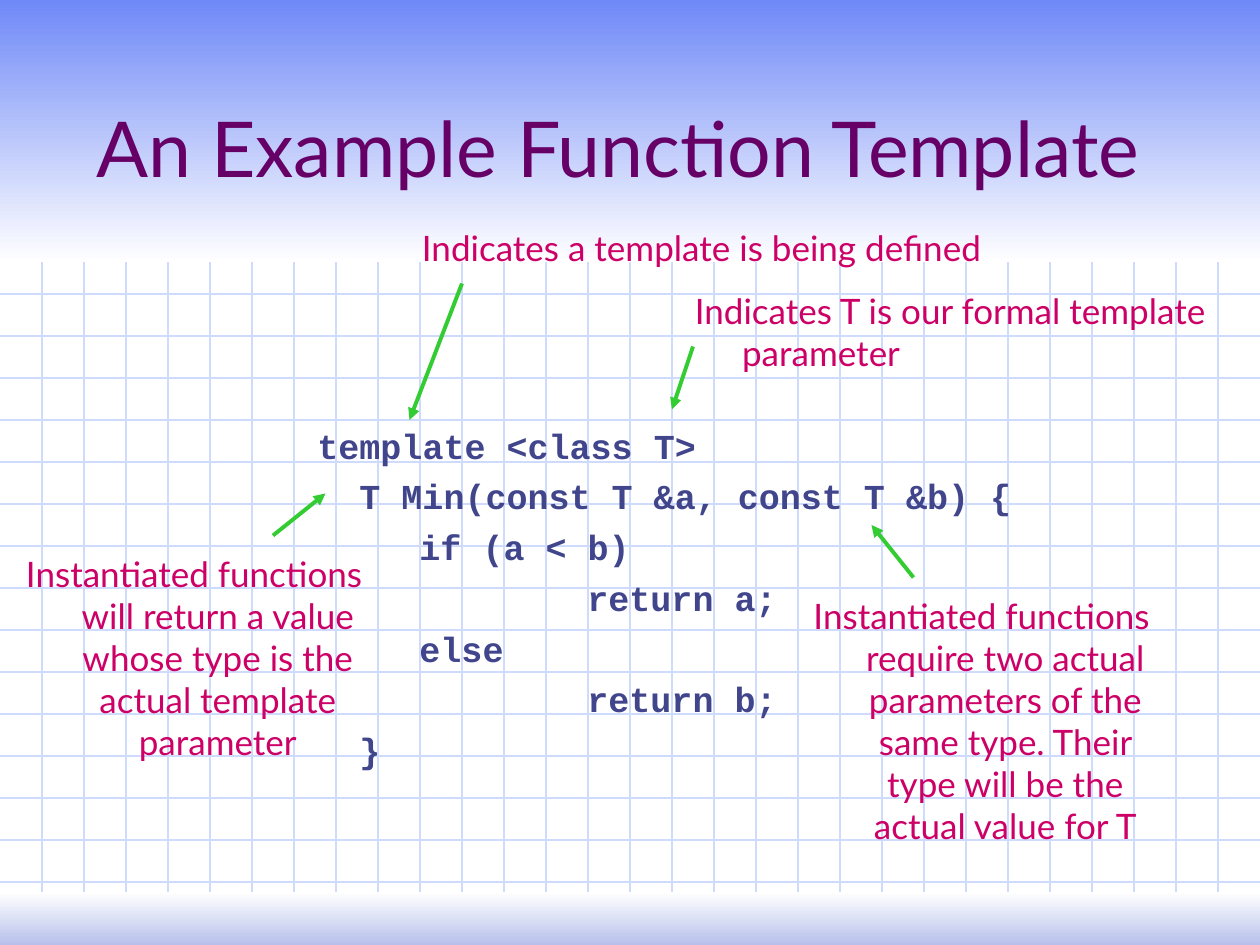
from lxml import etree
from pptx import Presentation
from pptx.dml.color import RGBColor
from pptx.enum.shapes import MSO_CONNECTOR, MSO_SHAPE
from pptx.enum.text import MSO_ANCHOR, MSO_AUTO_SIZE, PP_ALIGN
from pptx.oxml.ns import qn
from pptx.util import Pt

LEFT, CENTER = PP_ALIGN.LEFT, PP_ALIGN.CENTER
TOP, BOTTOM = MSO_ANCHOR.TOP, MSO_ANCHOR.BOTTOM
NO_AUTOSIZE = MSO_AUTO_SIZE.NONE
STRAIGHT = MSO_CONNECTOR.STRAIGHT
RECTANGLE = MSO_SHAPE.RECTANGLE

PAGE_WIDTH, PAGE_HEIGHT = 720, 540
GRID_STEP = 24
COLORS = {
    "grid": "CFDBFD",
    "sky": "6F89F7",
    "mist": "B7C1EB",
    "white": "FFFFFF",
    "title": "660066",
    "code": "40458C",
    "note": "CC0066",
    "arrow": "33CC33",
}
CODE = [
    (0, "template <class T>"),
    (24, "T Min(const T &a, const T &b) {"),
    (58.3, "if (a < b)"),
    (154.3, "return a;"),
    (58.3, "else"),
    (154.3, "return b;"),
    (24, "}"),
]
CODE_LEFT = 108.2
NOTES = [
    ("Indicates a template is being defined", (234, 126, 378, 31.5), LEFT),
    ("Indicates T is our formal template parameter", (390, 162, 330, 55.5), LEFT),
    ("Instantiated functions will return a value whose type is the "
     "actual template parameter", (0, 312, 222, 127.5), CENTER),
    ("Instantiated functions require two actual parameters of the same type. "
     "Their type will be the actual value for T", (450, 336, 222, 151.5), CENTER),
]
ARROWS = [
    ((264, 162), (234, 240)),
    ((396, 198), (384, 234)),
    ((156, 306), (186, 282)),
    ((522, 330), (498, 300)),
]


def color(name):
    return RGBColor.from_string(COLORS[name])


def place(shape, left, top, width, height):
    shape.left, shape.top = Pt(left), Pt(top)
    shape.width, shape.height = Pt(width), Pt(height)


def write(para, text, *, font="Lato", size=20, fill="note", bold=False,
          align=LEFT, margin=0, hanging=0, before=0, line=None):
    properties = para._p.get_or_add_pPr()
    properties.set("marL", str(Pt(margin)))
    properties.set("indent", str(-Pt(hanging)))
    etree.SubElement(properties, qn("a:buNone"))
    para.alignment = align
    para.space_before = Pt(before)
    if line:
        para.line_spacing = Pt(line)
    span = para.add_run()
    span.text = text
    span.font.name = font
    span.font.size = Pt(size)
    span.font.bold = bold
    span.font.color.rgb = color(fill)


def add_line(page, start, end, stroke, width, arrow=False):
    line = page.shapes.add_connector(STRAIGHT, *(Pt(value) for value in start + end))
    line.line.color.rgb = color(stroke)
    line.line.width = Pt(width)
    if arrow:
        etree.SubElement(line.line._get_or_add_ln(), qn("a:tailEnd"), type="triangle")
    etree.SubElement(line.element.spPr, qn("a:effectLst"))


def add_band(page, top, height, first, last):
    band = page.shapes.add_shape(RECTANGLE, 0, Pt(top), Pt(PAGE_WIDTH), Pt(height))
    band.shadow.inherit = False
    band.line.fill.background()
    band.fill.gradient()
    band.fill.gradient_angle = 270
    for stop, name, position in zip(band.fill.gradient_stops, (first, last), (0, 1)):
        stop.color.rgb = color(name)
        stop.position = position


def add_backdrop(page):
    for y in range(GRID_STEP, PAGE_HEIGHT, GRID_STEP):
        add_line(page, (0, y), (PAGE_WIDTH, y), "grid", 0.75)
    for x in range(GRID_STEP, PAGE_WIDTH, GRID_STEP):
        add_line(page, (x, 0), (x, PAGE_HEIGHT), "grid", 0.75)
    add_band(page, 0, 150, "sky", "white")
    add_band(page, 510, 30, "white", "mist")


def prepare_placeholder(shape, area, anchor):
    shape.element.getparent().append(shape.element)
    place(shape, *area)
    frame = shape.text_frame
    frame.auto_size = NO_AUTOSIZE
    frame.vertical_anchor = anchor
    return frame


def add_title(page, text):
    frame = prepare_placeholder(page.shapes.title, (48, 24, 624, 90), BOTTOM)
    write(frame.paragraphs[0], text, size=44, fill="title")


def add_code(page):
    frame = prepare_placeholder(page.placeholders[1], (66, 150, 612, 324), TOP)
    frame.margin_top = Pt(92.3)
    for index, (indent, text) in enumerate(CODE):
        para = frame.add_paragraph() if index else frame.paragraphs[0]
        write(para, text, font="Courier New", fill="code", bold=True,
              margin=CODE_LEFT + indent, before=5 if index else 0, line=24)


def add_note(page, text, area, align):
    box = page.shapes.add_textbox(*(Pt(value) for value in area))
    box.text_frame.word_wrap = True
    write(box.text_frame.paragraphs[0], text, align=align, margin=27, hanging=27)


def main():
    deck = Presentation()
    deck.slide_width, deck.slide_height = Pt(PAGE_WIDTH), Pt(PAGE_HEIGHT)
    page = deck.slides.add_slide(deck.slide_layouts[1])
    add_backdrop(page)
    add_title(page, "An Example Function Template")
    add_code(page)
    for text, area, align in NOTES:
        add_note(page, text, area, align)
    for start, end in ARROWS:
        add_line(page, start, end, "arrow", 2.25, arrow=True)
    deck.save("out.pptx")


if __name__ == "__main__":
    main()
